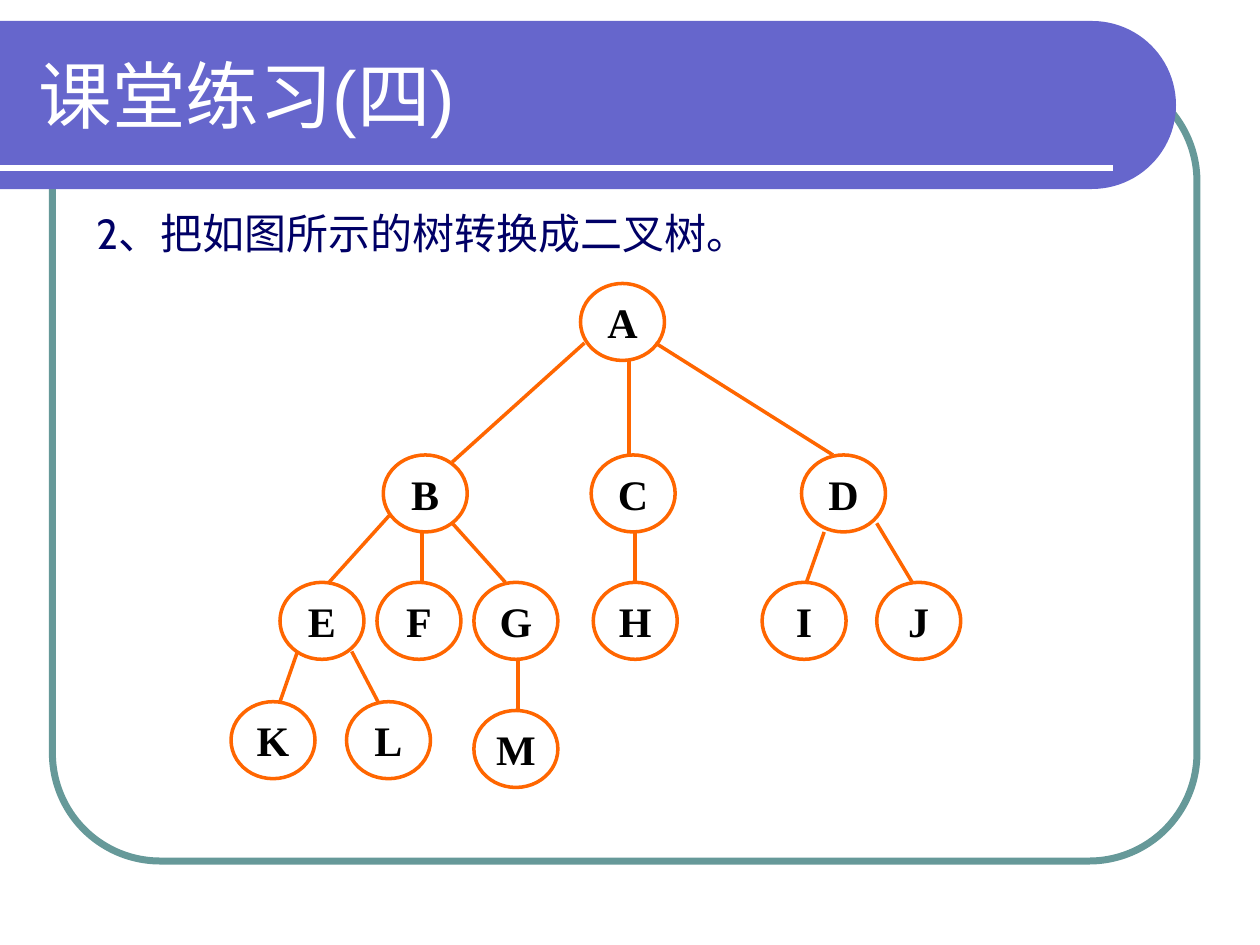
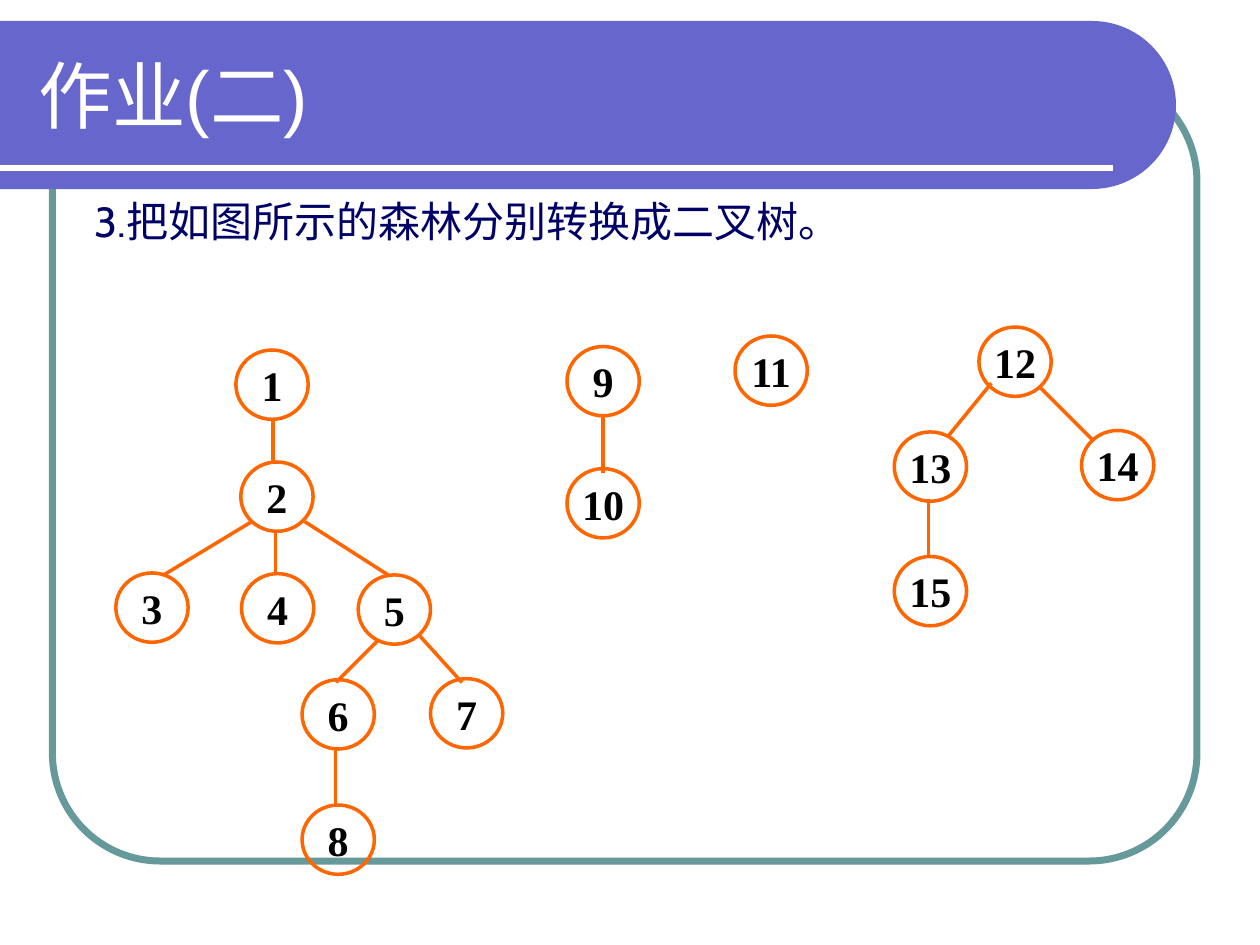
from dataclasses import dataclass
from math import cos, pi, sin

from lxml.etree import SubElement
from pptx import Presentation
from pptx.dml.color import RGBColor
from pptx.enum.shapes import MSO_CONNECTOR, MSO_SHAPE
from pptx.enum.text import MSO_ANCHOR, MSO_AUTO_SIZE, PP_ALIGN
from pptx.oxml.ns import qn
from pptx.util import Pt

# Shared look
WHITE = "FFFFFF"
BLACK = "000000"
BAND = "6666CC"
FRAME = "669999"
TREE = "FF6600"
QUESTION = "000066"
CJK_FONT = "Noto Sans CJK SC"
THICK = 2.25


@dataclass(frozen=True)
class Node:
    label: str
    left: float
    top: float


@dataclass(frozen=True)
class Edge:
    x1: float
    y1: float
    x2: float
    y2: float
    width: float = 2


@dataclass(frozen=True)
class Exercise:
    title: str
    question: str
    question_box: tuple[float, float, float, float]
    node_size: tuple[float, float]
    nodes: list[Node]
    edges: list[Edge]


def color(value: str) -> RGBColor:
    return RGBColor.from_string(value)


def write(frame, text: str, *, size: float, font: str, fill: str, bold: bool = False,
          align=PP_ALIGN.LEFT, anchor=MSO_ANCHOR.TOP, wrap: bool = True) -> None:
    frame.auto_size = MSO_AUTO_SIZE.NONE
    frame.word_wrap = wrap
    frame.vertical_anchor = anchor
    paragraph = frame.paragraphs[0]
    paragraph.alignment = align
    run = paragraph.add_run()
    run.text = text
    run.font.size = Pt(size)
    run.font.bold = bold
    run.font.color.rgb = color(fill)
    run.font.name = font
    SubElement(run.font._element, qn("a:ea"), typeface=CJK_FONT)


def outline(shape, line_color: str, width: float) -> None:
    shape.shadow.inherit = False
    shape.fill.background()
    shape.line.color.rgb = color(line_color)
    shape.line.width = Pt(width)


def draw_line(slide, edge: Edge, line_color: str) -> None:
    ends = (Pt(v) for v in (edge.x1, edge.y1, edge.x2, edge.y2))
    line = slide.shapes.add_connector(MSO_CONNECTOR.STRAIGHT, *ends)
    line.line.color.rgb = color(line_color)
    line.line.width = Pt(edge.width)
    SubElement(line.element.spPr, qn("a:effectLst"))


def draw_node(slide, node: Node, size: tuple[float, float]) -> None:
    circle = slide.shapes.add_shape(
        MSO_SHAPE.OVAL, Pt(node.left), Pt(node.top), Pt(size[0]), Pt(size[1]))
    outline(circle, TREE, 2)
    write(circle.text_frame, node.label, size=24, font="Times New Roman", fill=BLACK,
          bold=True, align=PP_ALIGN.CENTER, anchor=MSO_ANCHOR.MIDDLE, wrap=False)


def draw_background(slide) -> None:
    # Rounded frame
    frame = slide.shapes.add_shape(
        MSO_SHAPE.ROUNDED_RECTANGLE, Pt(30), Pt(42), Pt(654), Pt(450))
    frame.adjustments[0] = 0.137
    outline(frame, FRAME, 4)
    # Title band with a half-round right end
    center_x, center_y, radius, steps = 624, 60, 48, 48
    arc = [(Pt(center_x + radius * cos(a)), Pt(center_y + radius * sin(a)))
           for a in (pi * (i / steps - 0.5) for i in range(steps + 1))]
    builder = slide.shapes.build_freeform(0, Pt(center_y - radius))
    builder.add_line_segments([*arc, (0, Pt(center_y + radius))], close=True)
    band = builder.convert_to_shape()
    band.shadow.inherit = False
    band.fill.solid()
    band.fill.fore_color.rgb = color(BAND)
    band.line.fill.background()
    # Rule under the title
    draw_line(slide, Edge(0, 96, 636, 96, 3), WHITE)


def draw_title(slide, text: str) -> None:
    title = slide.shapes.title
    title.left, title.top, title.width, title.height = Pt(15), Pt(18), Pt(631.5), Pt(72)
    write(title.text_frame, text, size=42, font="Arial", fill=WHITE,
          anchor=MSO_ANCHOR.MIDDLE)
    title.element.getparent().append(title.element)  # bring in front of the band


def draw_exercise(deck, exercise: Exercise) -> None:
    slide = deck.slides.add_slide(deck.slide_layouts[5])
    draw_background(slide)
    question = slide.shapes.add_textbox(*(Pt(v) for v in exercise.question_box))
    write(question.text_frame, exercise.question, size=24, font="Cabin", fill=QUESTION)
    for node in exercise.nodes:
        draw_node(slide, node, exercise.node_size)
    for edge in exercise.edges:
        draw_line(slide, edge, TREE)
    draw_title(slide, exercise.title)


TREE_EXERCISE = Exercise(
    title="课堂练习(四)",
    question="2、把如图所示的树转换成二叉树。",
    question_box=(48, 115, 564, 36),
    node_size=(48, 44),
    nodes=[
        Node("A", 331.7, 162),
        Node("B", 219, 260), Node("C", 337.8, 260), Node("D", 458, 260),
        Node("E", 160, 332.8), Node("F", 215.4, 332.8), Node("G", 270.8, 332.8),
        Node("H", 339, 332.8), Node("I", 435.5, 332.8), Node("J", 501, 332.8),
        Node("K", 132, 401), Node("L", 198, 401), Node("M", 270.8, 406),
    ],
    edges=[
        # A to B, C, D
        Edge(334, 196, 258.5, 264), Edge(359.3, 206, 359.3, 260, THICK),
        Edge(374.5, 196, 476, 260),
        # B to E, F, G
        Edge(223, 294, 188, 332.8), Edge(241, 304, 241, 332.8, THICK),
        Edge(258.5, 299, 288.8, 332.8),
        # C to H; D to I, J
        Edge(363, 304, 363, 332.8, THICK),
        Edge(471, 304, 460.8, 332.8), Edge(501, 299, 521.3, 332.8),
        # E to K, L; G to M
        Edge(170, 372.3, 160, 401), Edge(201, 372.3, 216, 401),
        Edge(296, 376.8, 296, 406, THICK),
    ],
)

FOREST_EXERCISE = Exercise(
    title="作业(二)",
    question="3.把如图所示的森林分别转换成二叉树。",
    question_box=(47, 108, 619, 36),
    node_size=(41.3, 39.6),
    nodes=[
        Node("1", 134.8, 200), Node("2", 137.6, 264),
        Node("3", 66.2, 327.4), Node("4", 138, 327.8), Node("5", 204.7, 328.5),
        Node("6", 172.6, 388.4), Node("7", 246, 387.8), Node("8", 172.6, 460),
        Node("9", 324, 198), Node("10", 324, 267.8),
        Node("11", 420, 192),
        Node("12", 559.4, 186.9), Node("13", 511, 246.8),
        Node("14", 618, 246), Node("15", 511, 318),
    ],
    edges=[
        # 1 to 2; 2 to 3, 4, 5
        Edge(156, 240, 156, 264, THICK),
        Edge(144, 298, 93.6, 328.5), Edge(157.5, 304, 157.5, 327.8),
        Edge(174, 298, 222.5, 329),
        # 5 to 6, 7; 6 to 8
        Edge(216, 366, 192, 390), Edge(240, 363.5, 264, 390),
        Edge(191.7, 427, 191.7, 460),
        # 9 to 10
        Edge(344.7, 237, 344.7, 270),
        # 12 to 13, 14; 13 to 15
        Edge(566.5, 219, 542, 249), Edge(594.7, 221.8, 625, 252),
        Edge(530.5, 285, 530.5, 318),
    ],
)


def main() -> None:
    deck = Presentation()
    deck.slide_width, deck.slide_height = Pt(720), Pt(540)
    for exercise in (TREE_EXERCISE, FOREST_EXERCISE):
        draw_exercise(deck, exercise)
    deck.save("out.pptx")


if __name__ == "__main__":
    main()
